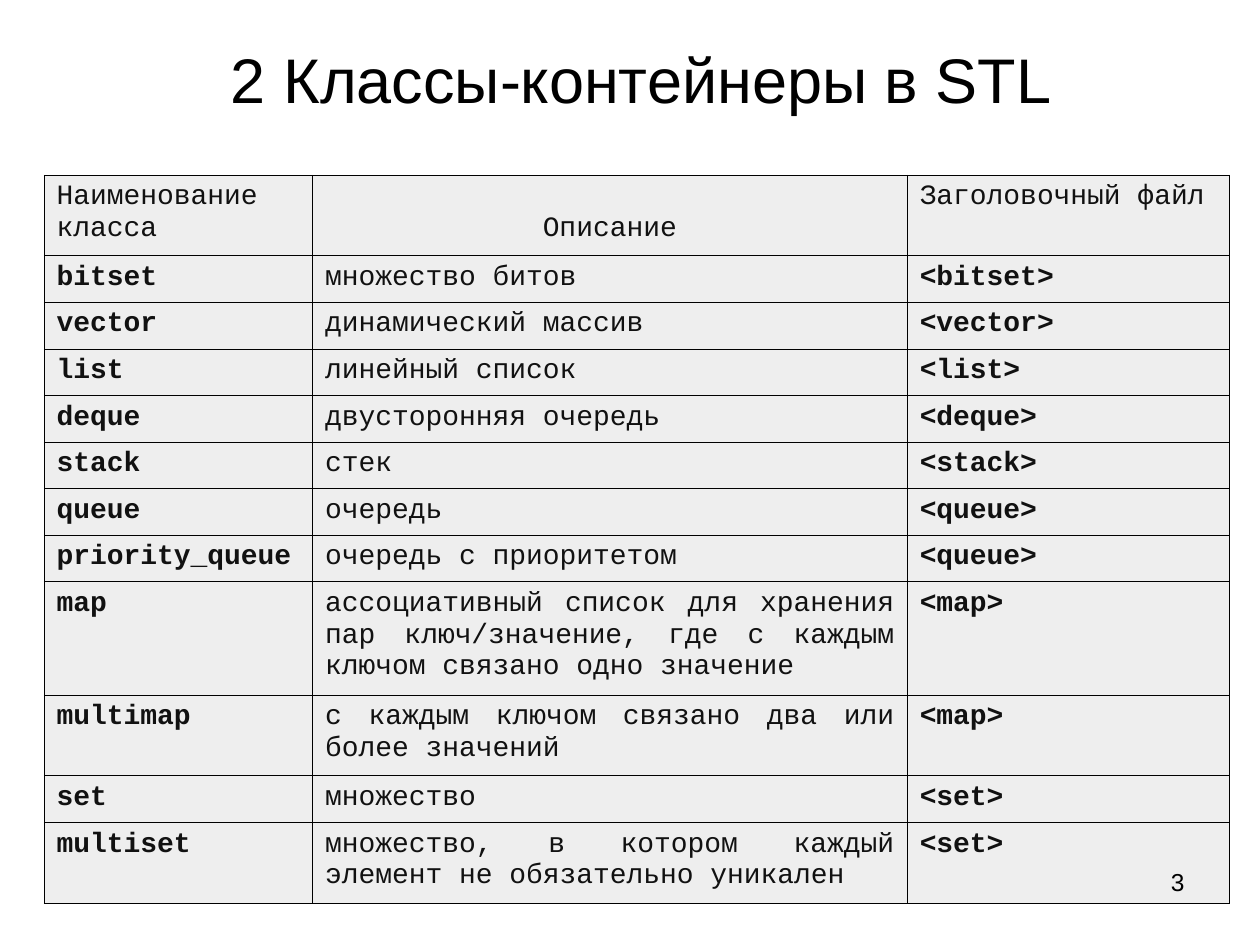
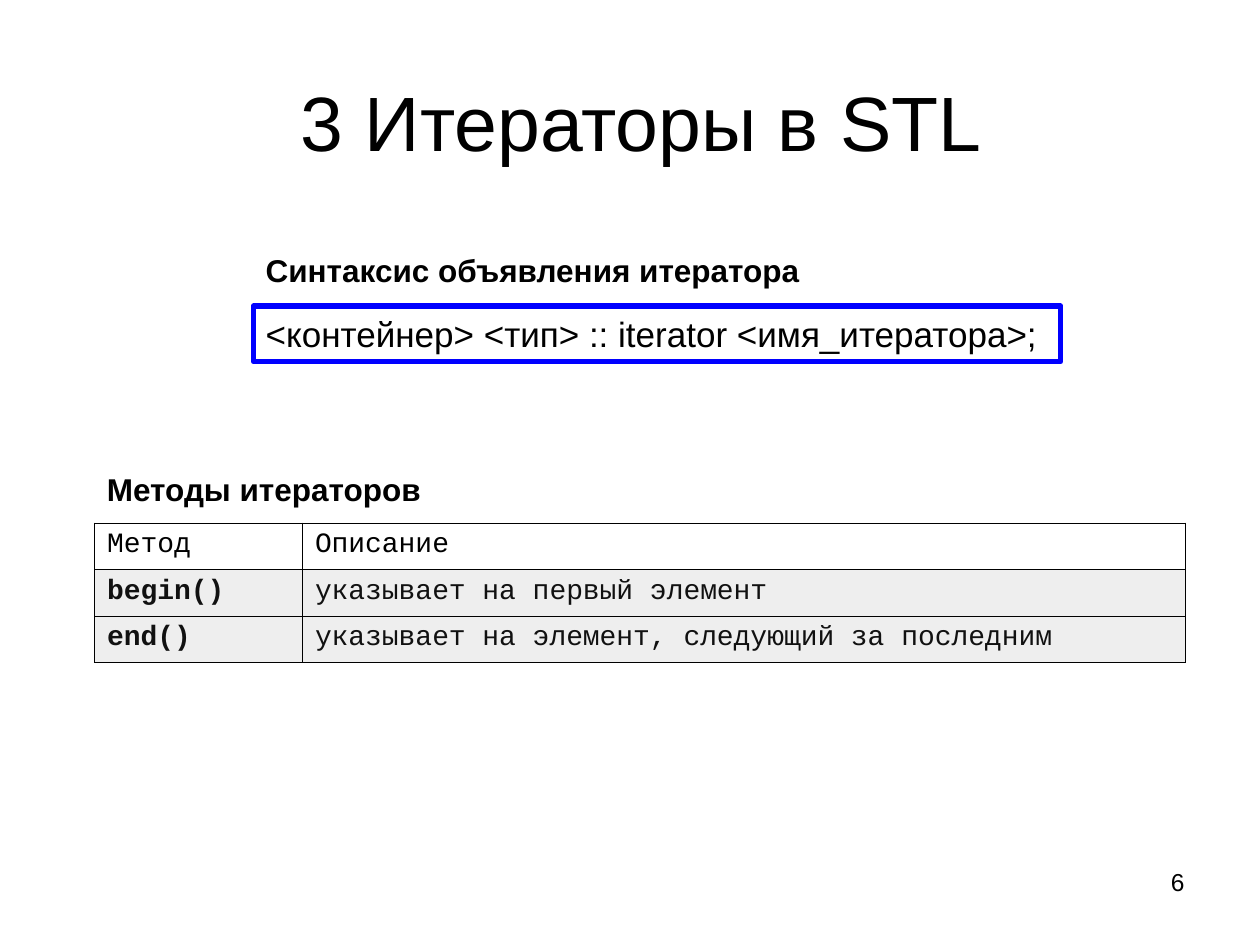
"""Builds two slides on STL containers and iterators."""
from lxml.etree import SubElement
from pptx import Presentation
from pptx.dml.color import RGBColor
from pptx.enum.shapes import MSO_SHAPE
from pptx.enum.text import MSO_ANCHOR, MSO_AUTO_SIZE, PP_ALIGN
from pptx.oxml.ns import qn
from pptx.util import Inches, Pt

BLACK = RGBColor(0x00, 0x00, 0x00)
CODE_GREY = RGBColor(0x11, 0x11, 0x11)
CELL_GREY = RGBColor(0xEE, 0xEE, 0xEE)
WHITE = RGBColor(0xFF, 0xFF, 0xFF)
BLUE = RGBColor(0x00, 0x00, 0xFF)

CONTAINERS = [
    ("Наименование класса", "Описание", "Заголовочный файл"),
    ("bitset", "множество битов", "<bitset>"),
    ("vector", "динамический массив", "<vector>"),
    ("list", "линейный список", "<list>"),
    ("deque", "двусторонняя очередь", "<deque>"),
    ("stack", "стек", "<stack>"),
    ("queue", "очередь", "<queue>"),
    ("priority_queue", "очередь с приоритетом", "<queue>"),
    ("map", "ассоциативный список для хранения пар ключ/значение, "
            "где с каждым ключом связано одно значение", "<map>"),
    ("multimap", "с каждым ключом связано два или более значений", "<map>"),
    ("set", "множество", "<set>"),
    ("multiset", "множество, в котором каждый элемент не обязательно уникален", "<set>"),
]
METHODS = [
    ("Метод", "Описание"),
    ("begin()", "указывает на первый элемент"),
    ("end()", "указывает на элемент, следующий за последним"),
]


def write_text(shape, text, size, bold=False, alignment=PP_ALIGN.LEFT):
    """Put one Arial paragraph into a shape."""
    frame = shape.text_frame
    frame.word_wrap = True
    frame.auto_size = MSO_AUTO_SIZE.NONE
    frame.text = text
    paragraph = frame.paragraphs[0]
    paragraph.alignment = alignment
    paragraph.font.name = "Arial"
    paragraph.font.size = Pt(size)
    paragraph.font.bold = bold
    paragraph.font.color.rgb = BLACK


def add_code_table(slide, left, top, widths, heights, rows, alignment, header_fill, header_color):
    """Add a bordered table in Courier New, bold except for its header and descriptions."""
    table = slide.shapes.add_table(
        len(rows), len(widths), Inches(left), Inches(top),
        Inches(sum(widths)), Inches(sum(heights))).table
    table.first_row = table.horz_banding = False
    for column, width in zip(table.columns, widths):
        column.width = Inches(width)
    for row, height in zip(table.rows, heights):
        row.height = Inches(height)
    for row_index, row in enumerate(rows):
        for column_index, text in enumerate(row):
            cell = table.cell(row_index, column_index)
            properties = cell._tc.get_or_add_tcPr()
            for side in ("a:lnL", "a:lnR", "a:lnT", "a:lnB"):
                border = SubElement(properties, qn(side), w=str(Pt(0.45)))
                SubElement(SubElement(border, qn("a:solidFill")), qn("a:srgbClr"), val=str(BLACK))
            cell.fill.solid()
            cell.fill.fore_color.rgb = CELL_GREY if row_index else header_fill
            cell.text = text
            paragraph = cell.text_frame.paragraphs[0]
            paragraph.alignment = alignment
            paragraph.font.name = "Courier New"
            paragraph.font.size = Pt(16)
            paragraph.font.bold = row_index > 0 and column_index != 1
            paragraph.font.color.rgb = CODE_GREY if row_index else header_color
    return table


presentation = Presentation()
presentation.slide_width = Inches(10)
presentation.slide_height = Inches(7.5)
title_only = presentation.slide_layouts[5]

slides = []
for title, top, height, size in [
    ("2 Классы-контейнеры в STL", 0, 1.25, 36),
    ("3 Итераторы в STL", 0.44, 1.04, 44),
]:
    slide = presentation.slides.add_slide(title_only)
    shape = slide.shapes.title
    shape.left, shape.top = Inches(0.59), Inches(top)
    shape.width, shape.height = Inches(9), Inches(height)
    shape.text_frame.vertical_anchor = MSO_ANCHOR.MIDDLE
    write_text(shape, title, size, alignment=PP_ALIGN.CENTER)
    slides.append(slide)
containers_slide, iterators_slide = slides

container_heights = [0.64] + [0.37] * 7 + [0.9, 0.64, 0.37, 0.64]
container_table = add_code_table(
    containers_slide, 0.35, 1.39, [2.13, 4.72, 2.56], container_heights,
    CONTAINERS, PP_ALIGN.JUSTIFY, CELL_GREY, CODE_GREY)
description_header = container_table.cell(0, 1)
description_header.margin_top = Inches(0.3)
description_header.text_frame.paragraphs[0].alignment = PP_ALIGN.CENTER

add_code_table(iterators_slide, 0.75, 4.15, [1.65, 7.01], [0.37] * 3,
               METHODS, PP_ALIGN.LEFT, WHITE, BLACK)

syntax_box = iterators_slide.shapes.add_shape(
    MSO_SHAPE.RECTANGLE, Inches(2.01), Inches(2.43), Inches(6.41), Inches(0.44))
syntax_box.shadow.inherit = False
syntax_box.fill.background()
syntax_box.line.color.rgb = BLUE
syntax_box.line.width = Pt(3)
write_text(syntax_box, "<контейнер> <тип> :: iterator <имя_итератора>;", 20)

for heading, left, top in [
    ("Синтаксис объявления итератора", 2.01, 1.94),
    ("Методы итераторов", 0.75, 3.68),
]:
    label = iterators_slide.shapes.add_textbox(
        Inches(left), Inches(top), Inches(4.65), Inches(0.4))
    write_text(label, heading, 18, bold=True)

for slide, number in zip(slides, ("3", "6")):
    page_number = slide.shapes.add_textbox(
        Inches(7.17), Inches(6.83), Inches(2.33), Inches(0.52))
    write_text(page_number, number, 14, alignment=PP_ALIGN.RIGHT)

presentation.save("out.pptx")
